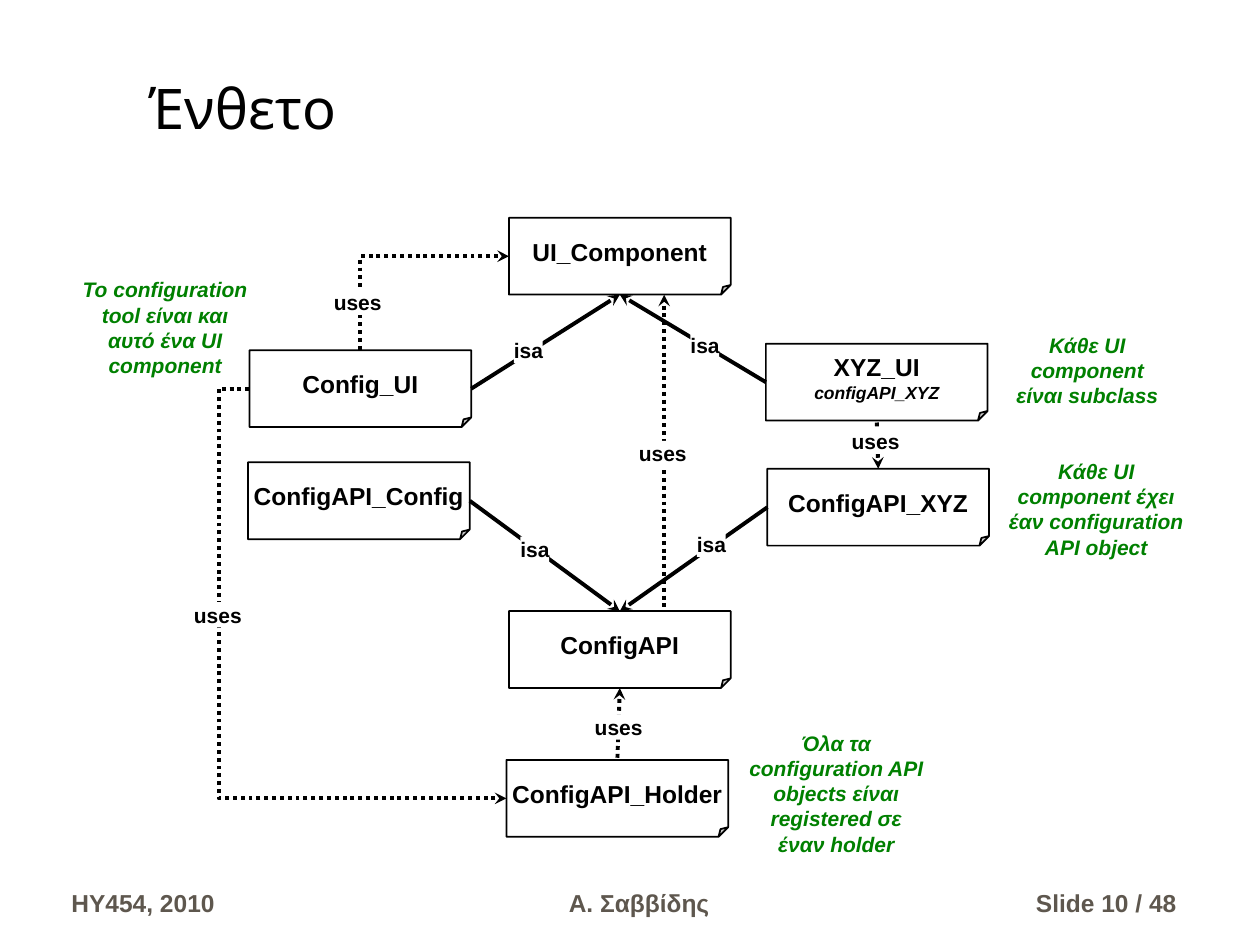
from pptx import Presentation, util as u
from pptx.dml.color import RGBColor
from pptx.enum import dml, shapes, text
from pptx.oxml.ns import qn
from lxml import etree

BLACK = RGBColor(0x00, 0x00, 0x00)
WHITE = RGBColor(0xFF, 0xFF, 0xFF)
GREEN = RGBColor(0x00, 0x80, 0x00)
TAUPE = RGBColor(0x5E, 0x57, 0x4E)

ALIGN, ANCHOR = text.PP_ALIGN, text.MSO_ANCHOR
TITLE = {"size": u.Pt(32), "name": "Montserrat", "color": BLACK}
FOOTER = {"size": u.Pt(14), "name": "Arial", "color": TAUPE, "bold": True}
CLASS = {**FOOTER, "color": BLACK}
DETAIL = {**CLASS, "size": u.Pt(10), "italic": True}
LABEL = {**CLASS, "size": u.Pt(12)}
NOTE = {**LABEL, "color": GREEN, "italic": True}

# Diagram parts, in cm from the corner of the diagram
CLASS_W, CLASS_H = 4.47, 1.55
CLASSES = {
    "ConfigAPI_Holder": (6.3, 10.93),
    "UI_Component": (6.35, 0),
    "XYZ_UI": (11.53, 2.54),
    "ConfigAPI": (6.35, 7.93),
    "ConfigAPI_XYZ": (11.56, 5.06),
    "Config_UI": (1.12, 2.67),
    "ConfigAPI_Config": (1.09, 4.93),
}
DETAILS = {"XYZ_UI": "configAPI_XYZ"}

# Places on a class box, as shares of its width and height
TOP, BOTTOM, LEFT, RIGHT = (0.5, 0), (0.5, 1), (0, 0.5), (1, 0.5)
TOP_OFF, BOTTOM_OFF = (0.7, 0), (0.7, 1)

# Kind, class pointed at and its side, class it comes from and its side, label place
RELATIONS = [
    ("isa", "UI_Component", BOTTOM, "XYZ_UI", LEFT, (10.01, 2.32)),
    ("isa", "ConfigAPI", TOP, "ConfigAPI_XYZ", LEFT, (10.14, 6.33)),
    ("isa", "ConfigAPI", TOP, "ConfigAPI_Config", RIGHT, (6.58, 6.43)),
    ("isa", "UI_Component", BOTTOM, "Config_UI", RIGHT, (6.45, 2.42)),
    ("uses", "ConfigAPI_XYZ", TOP, "XYZ_UI", BOTTOM, (13.26, 4.25)),
    ("uses", "ConfigAPI", BOTTOM, "ConfigAPI_Holder", TOP, (8.08, 10.01)),
    ("uses", "UI_Component", BOTTOM_OFF, "ConfigAPI", TOP_OFF, (8.97, 4.5)),
    ("uses", "ConfigAPI_Holder", LEFT, "Config_UI", LEFT, (0, 7.75)),
    ("uses", "UI_Component", LEFT, "Config_UI", TOP, (2.82, 1.45)),
]
# Bent routes: preset geometry and the share of the width where it turns
BENDS = {
    (LEFT, LEFT): ("bentConnector3", 1.12),
    (LEFT, TOP): ("bentConnector2", None),
}
LABEL_WIDTHS = {"isa": 0.58, "uses": 0.97}

NOTES = [
    ("Κάθε UI component είναι subclass", (20.09, 6.58, 3.66, 1.78)),
    ("To configuration tool είναι και αυτό ένα UI component", (1.3, 5.46, 4.06, 2.29)),
    ("Κάθε UI component έχει έαν configuration API object", (20.07, 9.12, 4.06, 2.29)),
    ("Όλα τα configuration API objects είναι registered σε έναν holder",
     (14.83, 14.6, 4.06, 2.79)),
]


def write(frame, lines, align=ALIGN.LEFT, **frame_format):
    """Fill a text frame with (wording, font format) lines."""
    for key, value in frame_format.items():
        setattr(frame, key, value)
    for index, (wording, font_format) in enumerate(lines):
        paragraph = frame.add_paragraph() if index else frame.paragraphs[0]
        paragraph.alignment = align
        run = paragraph.add_run()
        run.text = wording
        for key, value in font_format.items():
            if key == "color":
                run.font.color.rgb = value
            else:
                setattr(run.font, key, value)


def set_adjustment(geometry, name, share):
    guides = geometry.find(qn("a:avLst"))
    if guides is None:
        guides = etree.SubElement(geometry, qn("a:avLst"))
    etree.SubElement(guides, qn("a:gd"), name=name, fmla=f"val {round(share * 100000)}")


def add_text(slide, box, wording, font_format, align, anchor):
    textbox = slide.shapes.add_textbox(*map(u.Cm, box))
    write(textbox.text_frame, [(wording, font_format)], align,
          word_wrap=True, vertical_anchor=anchor)


def add_filled(slide, preset, box):
    filled = slide.shapes.add_shape(preset, *map(u.Cm, box))
    filled.shadow.inherit = False
    filled.fill.solid()
    filled.fill.fore_color.rgb = WHITE
    filled.line.fill.background()
    return filled


def add_class(slide, left, top, name):
    sheet = add_filled(slide, shapes.MSO_SHAPE.FOLDED_CORNER, (left, top, CLASS_W, CLASS_H))
    set_adjustment(sheet.element.spPr.find(qn("a:prstGeom")), "adj", 0.125)
    sheet.line.color.rgb = BLACK
    sheet.line.width = u.Pt(1)
    lines = [(name, CLASS)]
    if name in DETAILS:
        lines.append((DETAILS[name], DETAIL))
    write(sheet.text_frame, lines, ALIGN.CENTER,
          word_wrap=False, vertical_anchor=ANCHOR.MIDDLE)


def add_arrow(slide, kind, target, source, bend):
    """Line whose arrowhead sits at the target point."""
    route = shapes.MSO_CONNECTOR.ELBOW if bend else shapes.MSO_CONNECTOR.STRAIGHT
    arrow = slide.shapes.add_connector(route, *map(u.Cm, target + source))
    arrow.line.color.rgb = BLACK
    arrow.line.width = u.Pt(2.25)
    if kind == "uses":
        arrow.line.dash_style = dml.MSO_LINE.ROUND_DOT
    properties = arrow.element.find(qn("p:spPr"))
    etree.SubElement(properties.find(qn("a:ln")), qn("a:headEnd"), type="stealth")
    etree.SubElement(properties, qn("a:effectLst"))
    if bend:
        preset, turn = bend
        geometry = properties.find(qn("a:prstGeom"))
        geometry.set("prst", preset)
        if turn:
            set_adjustment(geometry, "adj1", turn)


def add_label(slide, left, top, kind):
    box = (left, top, LABEL_WIDTHS[kind], 0.51)
    label = add_filled(slide, shapes.MSO_SHAPE.RECTANGLE, box)
    write(label.text_frame, [(kind, LABEL)], word_wrap=False, vertical_anchor=ANCHOR.TOP,
          margin_left=0, margin_right=0, margin_top=0, margin_bottom=0)


def add_diagram(slide, left, top):
    def point(name, side):
        x, y = CLASSES[name]
        return left + x + side[0] * CLASS_W, top + y + side[1] * CLASS_H

    for name, (x, y) in CLASSES.items():
        add_class(slide, left + x, top + y, name)
    for kind, target, target_side, source, source_side, _ in RELATIONS:
        add_arrow(slide, kind, point(target, target_side), point(source, source_side),
                  BENDS.get((target_side, source_side)))
    # Labels lie over the lines
    for kind, *_, (x, y) in RELATIONS:
        add_label(slide, left + x, top + y, kind)


def add_footer(slide, left, top):
    for wording, x, width, align in [
        ("HY454, 2010", 0, 5.56, ALIGN.LEFT),
        ("Α. Σαββίδης", 7.67, 8.05, ALIGN.CENTER),
        ("Slide 10 / 48", 17.5, 5.28, ALIGN.RIGHT),
    ]:
        add_text(slide, (left + x, top, width, 1.27), wording, FOOTER, align, ANCHOR.BOTTOM)


def main():
    deck = Presentation()
    deck.slide_width, deck.slide_height = u.Cm(25.4), u.Cm(19.05)
    slide = deck.slides.add_slide(deck.slide_layouts[6])
    add_footer(slide, 1.19, 17.35)
    add_text(slide, (2.74, 0.43, 22.66, 2.54), "Ένθετο", TITLE, ALIGN.LEFT, ANCHOR.BOTTOM)
    add_diagram(slide, 3.91, 4.39)
    # Green remarks beside the classes
    for wording, box in NOTES:
        add_text(slide, box, wording, NOTE, ALIGN.CENTER, ANCHOR.TOP)
    deck.save("out.pptx")


if __name__ == "__main__":
    main()
